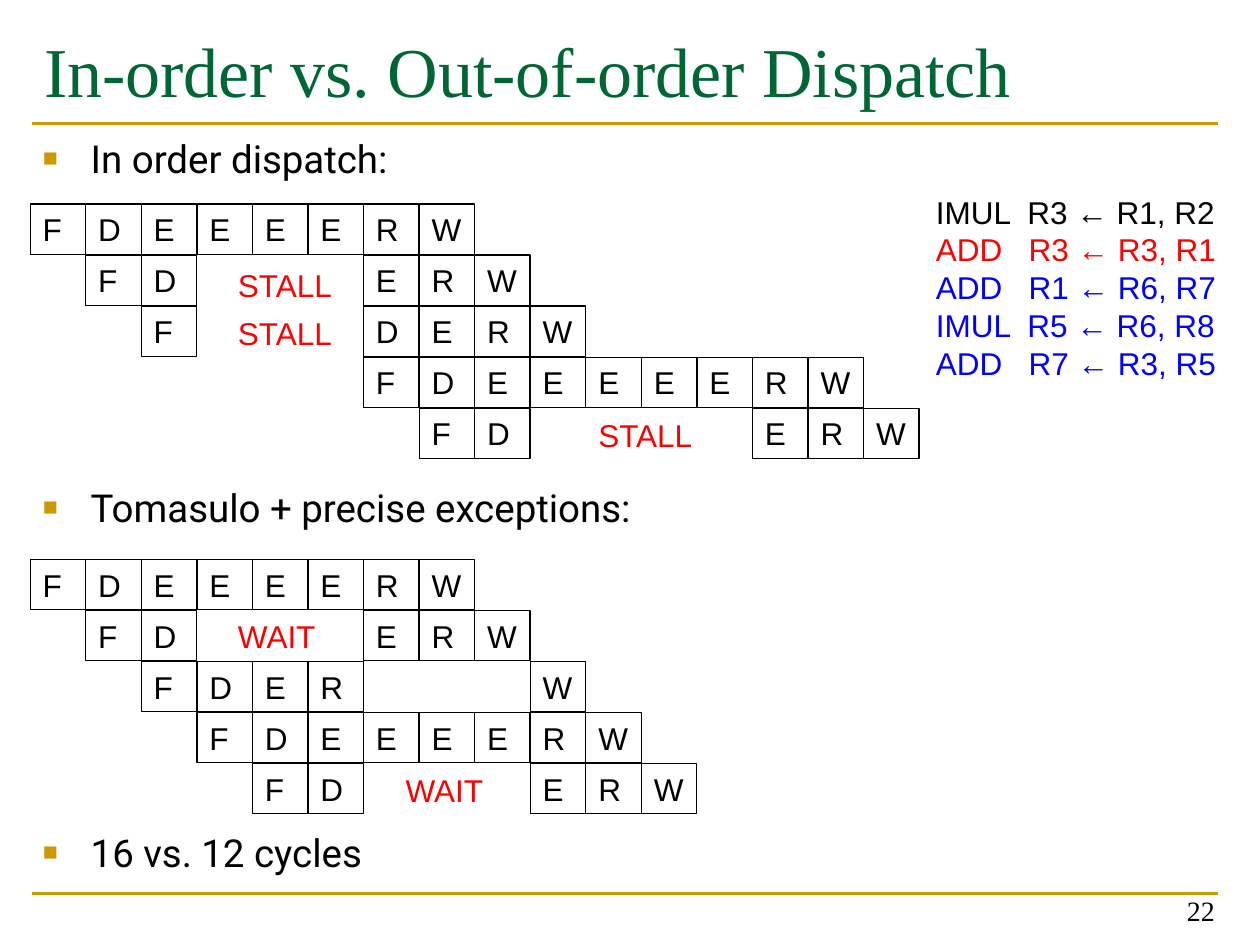
from dataclasses import dataclass

from lxml.etree import SubElement
from pptx import Presentation
from pptx.dml.color import RGBColor
from pptx.enum.shapes import MSO_CONNECTOR as Connector, MSO_SHAPE as Preset
from pptx.enum.text import MSO_ANCHOR as Anchor, MSO_AUTO_SIZE as AutoSize, PP_ALIGN as Align
from pptx.oxml.ns import qn
from pptx.util import Inches, Pt

COLORS = {
    "black": "000000",
    "white": "FFFFFF",
    "gold": "CC9900",
    "green": "006633",
    "red": "FF0000",
    "blue": "0000FF",
}
COLUMN_WIDTH = 0.44
COLUMN_PITCH = 0.441
ROW_HEIGHT = 0.405
GRID_LEFT = 0.24


@dataclass
class Bullet:
    text: str
    space_before: float


@dataclass
class Pipeline:
    """Each row has one character per cycle; a space is a cycle without a box."""
    top: float
    rows: list[str]


@dataclass
class Label:
    text: str
    left: float
    top: float
    width: float


BULLETS = [
    Bullet("In order dispatch:", 2),
    Bullet("Tomasulo + precise exceptions:", 173),
    Bullet("16 vs. 12 cycles", 171),
]
PIPELINES = [
    Pipeline(1.62, [
        "FDEEEERW",
        " FD   ERW",
        "  F   DERW",
        "      FDEEEEERW",
        "       FD    ERW",
    ]),
    Pipeline(4.44, [
        "FDEEEERW",
        " FD   ERW",
        "  FDER   W",
        "   FDEEEERW",
        "    FD   ERW",
    ]),
]
LABELS = [
    Label("STALL", 1.79, 2.06, 0.95),
    Label("STALL", 1.79, 2.44, 0.95),
    Label("STALL", 4.65, 3.25, 0.95),
    Label("WAIT", 1.79, 4.85, 0.82),
    Label("WAIT", 3.12, 6.07, 0.82),
]
PROGRAM = [
    ("IMUL  R3 ← R1, R2", "black"),
    ("ADD   R3 ← R3, R1", "red"),
    ("ADD   R1 ← R6, R7", "blue"),
    ("IMUL  R5 ← R6, R8", "blue"),
    ("ADD   R7 ← R3, R5", "blue"),
]


def color(name: str) -> RGBColor:
    return RGBColor.from_string(COLORS[name])


def add_run(paragraph, text: str, size: float, color_name: str = "black", font: str = "Arial") -> None:
    run = paragraph.add_run()
    run.text = text
    run.font.size = Pt(size)
    run.font.name = font
    run.font.color.rgb = color(color_name)


def place(shape, left: float, top: float, width: float, height: float) -> None:
    shape.left, shape.top = Inches(left), Inches(top)
    shape.width, shape.height = Inches(width), Inches(height)


def add_rule(slide, y: float) -> None:
    rule = slide.shapes.add_connector(
        Connector.STRAIGHT, Inches(0.25), Inches(y), Inches(9.67), Inches(y))
    rule.line.color.rgb = color("gold")
    rule.line.width = Pt(1.5)
    SubElement(rule._element.spPr, qn("a:effectLst"))


def add_bullet(paragraph, bullet: Bullet) -> None:
    paragraph.space_before = Pt(bullet.space_before)
    add_run(paragraph, bullet.text, 22, font="Roboto")
    properties = paragraph._p.get_or_add_pPr()
    properties.set("marL", str(Inches(0.38)))
    properties.set("indent", str(Inches(-0.38)))
    bullet_color = SubElement(properties, qn("a:buClr"))
    SubElement(bullet_color, qn("a:srgbClr"), val=COLORS["gold"])
    SubElement(properties, qn("a:buSzPct"), val="65000")
    SubElement(properties, qn("a:buFont"), typeface="Arial")
    SubElement(properties, qn("a:buChar"), char="■")


def add_text_box(slide, left: float, top: float, width: float, height: float):
    box = slide.shapes.add_textbox(Inches(left), Inches(top), Inches(width), Inches(height))
    box.text_frame.word_wrap = False
    return box.text_frame


def add_stage(slide, letter: str, left: float, top: float) -> None:
    stage = slide.shapes.add_shape(
        Preset.RECTANGLE, Inches(left), Inches(top), Inches(COLUMN_WIDTH), Inches(0.4))
    stage.shadow.inherit = False
    stage.fill.solid()
    stage.fill.fore_color.rgb = color("white")
    stage.line.color.rgb = color("black")
    stage.line.width = Pt(0.75)
    frame = stage.text_frame
    frame.vertical_anchor = Anchor.TOP
    frame.margin_right = 0
    frame.paragraphs[0].alignment = Align.LEFT
    add_run(frame.paragraphs[0], letter, 18)


def add_pipeline(slide, pipeline: Pipeline) -> None:
    for row, stages in enumerate(pipeline.rows):
        for cycle, letter in enumerate(stages):
            if letter != " ":
                add_stage(slide, letter, GRID_LEFT + cycle * COLUMN_PITCH,
                          pipeline.top + row * ROW_HEIGHT)


def main() -> None:
    presentation = Presentation()
    presentation.slide_width, presentation.slide_height = Inches(10), Inches(7.5)
    slide = presentation.slides.add_slide(presentation.slide_layouts[1])
    title, body = slide.placeholders

    # Title and the gold rules
    add_rule(slide, 7.09)
    add_rule(slide, 0.98)
    place(title, 0.25, 0.17, 9.42, 1.17)
    title.text_frame.auto_size = AutoSize.NONE
    title.text_frame.vertical_anchor = Anchor.TOP
    title.text_frame.paragraphs[0].alignment = Align.LEFT
    add_run(title.text_frame.paragraphs[0], "In-order vs. Out-of-order Dispatch",
            40, "green", "Times New Roman")

    # Bullets, spaced to leave room for the diagrams
    place(body, 0.24, 1.02, 9.42, 5.95)
    frame = body.text_frame
    frame.auto_size = AutoSize.NONE
    for index, bullet in enumerate(BULLETS):
        add_bullet(frame.add_paragraph() if index else frame.paragraphs[0], bullet)

    # Pipeline diagrams and their waiting periods
    for pipeline in PIPELINES:
        add_pipeline(slide, pipeline)
    for label in LABELS:
        frame = add_text_box(slide, label.left, label.top, label.width, 0.4)
        add_run(frame.paragraphs[0], label.text, 18, "red")

    # Instruction listing
    frame = add_text_box(slide, 7.33, 1.48, 2.44, 1.61)
    for index, (instruction, color_name) in enumerate(PROGRAM):
        paragraph = frame.add_paragraph() if index else frame.paragraphs[0]
        add_run(paragraph, instruction, 18, color_name)

    # Page number
    frame = add_text_box(slide, 7.41, 6.91, 2.33, 0.5)
    frame.word_wrap = True
    frame.vertical_anchor = Anchor.BOTTOM
    frame.paragraphs[0].alignment = Align.RIGHT
    add_run(frame.paragraphs[0], "22", 16, font="Times New Roman")

    presentation.save("out.pptx")


if __name__ == "__main__":
    main()
